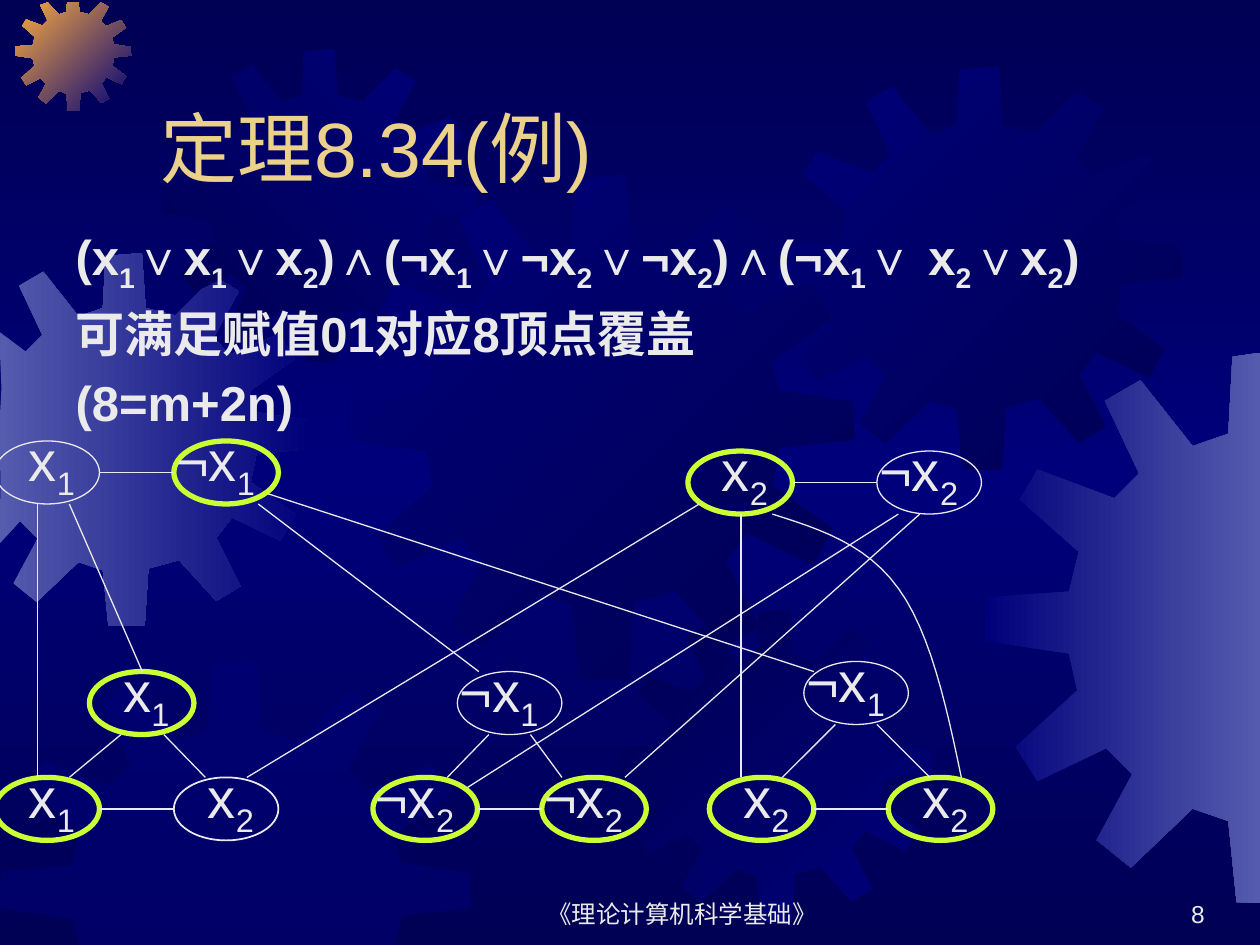
from copy import deepcopy
from dataclasses import dataclass

from lxml.etree import SubElement
from pptx import Presentation
from pptx.dml.color import RGBColor
from pptx.enum.shapes import MSO_CONNECTOR as Conn, MSO_SHAPE as Preset
from pptx.enum.text import MSO_ANCHOR as Anchor, MSO_AUTO_SIZE as Fit, PP_ALIGN as Align
from pptx.oxml.ns import qn
from pptx.util import Inches, Pt

DARK = RGBColor(0x00, 0x00, 0x54)
NAVY = RGBColor(0x00, 0x00, 0x7A)
STEEL = RGBColor(0x55, 0x5B, 0xAD)
AMBER = RGBColor(0xFC, 0xAB, 0x40)
GOLD = RGBColor(0xEB, 0xD1, 0x89)
PALE = RGBColor(0xEA, 0xEA, 0xEA)
LIME = RGBColor(0xCC, 0xFF, 0x33)

# Outline of one gear in a square of GEAR_SIZE units
GEAR_SIZE = 401
GEAR = [
    (255, 67), (223, 59), (219, 0), (180, 3), (177, 59), (151, 68), (113, 20), (87, 35),
    (112, 88), (94, 106), (38, 85), (25, 107), (68, 145), (61, 174), (1, 178), (0, 210),
    (61, 219), (67, 246), (22, 287), (38, 312), (88, 288), (107, 307), (81, 355), (106, 375),
    (151, 332), (177, 341), (183, 400), (222, 401), (226, 339), (259, 330), (299, 374),
    (325, 358), (299, 306), (316, 284), (368, 309), (384, 281), (336, 246), (342, 216),
    (401, 210), (400, 180), (341, 171), (335, 148), (383, 114), (367, 87), (313, 109),
    (296, 91), (323, 41), (297, 25),
]


@dataclass
class Gear:
    x: float
    y: float
    size: float
    start: RGBColor
    end: RGBColor
    angle: int = 0
    alpha: int = 100


@dataclass
class Node:
    x: float
    y: float
    label: str
    cover: bool = False
    width: float = 0.75


OVAL_W, OVAL_H = 0.83, 0.5

GEARS = [
    Gear(-0.49, 2.01, 2.96, STEEL, NAVY),
    Gear(0.12, -0.04, 0.92, AMBER, NAVY, 45),
    Gear(1.3, 0.39, 2.48, DARK, NAVY, 315),
    Gear(2.77, 1.39, 4.01, NAVY, DARK, 45),
    Gear(0, 5.25, 3.74, NAVY, NAVY, alpha=50),
    Gear(4.91, 4.84, 2.48, DARK, NAVY, 45),
    Gear(6.18, 0.53, 3.2, NAVY, DARK, 45),
    Gear(7.82, 2.8, 4.37, NAVY, STEEL),
]

# Each pair is joined by a level edge
PAIRS = [
    (Node(-0.04, 3.5, "x_1"), Node(1.38, 3.5, "¬x_1", True)),
    (Node(5.46, 3.58, "x_2", True), Node(6.96, 3.58, "¬x_2")),
    (Node(-0.04, 6.17, "x_1", True), Node(1.38, 6.17, "x_2", width=1)),
    (Node(2.96, 6.17, "¬x_2", True), Node(4.3, 6.17, "¬x_2", True)),
    (Node(5.63, 6.17, "x_2", True), Node(7.05, 6.17, "x_2", True)),
]
PEAKS = [
    Node(0.71, 5.33, "x_1", True), Node(3.63, 5.33, "¬x_1"), Node(6.38, 5.25, "¬x_1"),
]
EDGES = [
    (0.96, 5.83, 0.55, 6.17), (1.3, 5.83, 1.63, 6.17),
    (3.88, 5.83, 3.55, 6.17), (4.21, 5.83, 4.46, 6.17),
    (6.63, 5.75, 6.21, 6.17), (6.96, 5.75, 7.38, 6.17),
    (0.55, 4, 1.13, 5.33), (0.3, 4, 0.3, 6.17),
    (2.05, 4, 3.8, 5.33), (2.13, 3.92, 6.46, 5.33),
    (5.55, 4, 1.96, 6.17), (5.88, 4.08, 5.88, 6.17),
    (7.13, 4.08, 3.71, 6.25), (7.3, 4.08, 4.96, 6.17),
]
CURVES = [
    ((6.13, 4.08), (6.51, 4.2), (6.88, 4.32), (7.13, 4.67)),
    ((7.13, 4.67), (7.38, 5.01), (7.51, 5.59), (7.63, 6.17)),
]


def write(frame, *lines: str, size=32, color=PALE, bold=False, align=Align.LEFT,
          anchor=Anchor.TOP, before=0.0) -> None:
    """Fill a text frame; the character after each underscore is a subscript."""
    frame.word_wrap = True
    frame.auto_size = Fit.NONE
    frame.vertical_anchor = anchor
    for i, line in enumerate(lines):
        para = frame.paragraphs[0] if i == 0 else frame.add_paragraph()
        para.alignment = align
        para.space_before = Pt(before)
        props = para._p.get_or_add_pPr()
        props.set("marL", "0")
        props.set("indent", "0")
        SubElement(props, qn("a:buNone"))
        head, *rest = line.split("_")
        parts = [(head, False)]
        for piece in rest:
            parts += [(piece[0], True), (piece[1:], False)]
        for text, sub in parts:
            if not text:
                continue
            run = para.add_run()
            run.text = text
            font = run.font
            font.name, font.size, font.bold = "Arial", Pt(size), bold
            font.color.rgb = color
            if sub:
                font._element.set("baseline", "-25000")


def place(shape, x: float, y: float, w: float, h: float) -> None:
    shape.left, shape.top, shape.width, shape.height = map(Inches, (x, y, w, h))


def add_text(shapes, x: float, y: float, w: float, h: float, text: str, **style):
    box = shapes.add_textbox(*map(Inches, (x, y, w, h)))
    write(box.text_frame, text, **style)
    return box


def shade(fill, start: RGBColor, end: RGBColor, angle: int) -> None:
    """Two-colour gradient, with the angle measured clockwise."""
    fill.gradient()
    fill.gradient_angle = (360 - angle) % 360
    for stop, color in zip(fill.gradient_stops, (start, end)):
        stop.color.rgb = color


def trace(shapes, points, close: bool):
    dots = [(Inches(x), Inches(y)) for x, y in points]
    pen = shapes.build_freeform(*dots[0], scale=1.0)
    pen.add_line_segments(dots[1:], close=close)
    shape = pen.convert_to_shape()
    shape.shadow.inherit = False
    return shape


def add_gear(shapes, gear: Gear) -> None:
    """Draw a gear, cut off at the edges of the slide."""
    unit = gear.size / GEAR_SIZE
    points = [(min(max(gear.x + x * unit, 0), 10), min(max(gear.y + y * unit, 0.02), 7.5))
              for x, y in GEAR]
    shape = trace(shapes, points, True)
    shape.line.fill.background()
    if gear.alpha == 100:
        shade(shape.fill, gear.start, gear.end, gear.angle)
    else:
        shape.fill.solid()
        shape.fill.fore_color.rgb = gear.start
        tint = shape._element.spPr.find(f"{qn('a:solidFill')}/{qn('a:srgbClr')}")
        SubElement(tint, qn("a:alpha")).set("val", str(gear.alpha * 1000))


def add_node(shapes, node: Node) -> None:
    oval = shapes.add_shape(Preset.OVAL, *map(Inches, (node.x, node.y, OVAL_W, OVAL_H)))
    oval.shadow.inherit = False
    oval.fill.background()
    oval.line.color.rgb = LIME if node.cover else PALE
    oval.line.width = Pt(3 if node.cover else node.width)
    box = add_text(shapes, node.x - 0.08, node.y - 0.17, 0.92, 0.63, node.label)
    if node.label.startswith("x"):
        box.text_frame.margin_left = Inches(0.35)


def add_edge(shapes, x1: float, y1: float, x2: float, y2: float) -> None:
    edge = shapes.add_connector(Conn.STRAIGHT, *map(Inches, (x1, y1, x2, y2)))
    edge.line.color.rgb = PALE
    edge.line.width = Pt(0.75)
    SubElement(edge._element.spPr, qn("a:effectLst"))


def bezier(a, b, c, d, steps: int = 12):
    for i in range(steps + 1):
        t = i / steps
        u = 1 - t
        yield tuple(u**3 * p + 3 * u * u * t * q + 3 * u * t * t * r + t**3 * s
                    for p, q, r, s in zip(a, b, c, d))


def main() -> None:
    deck = Presentation()
    deck.slide_width, deck.slide_height = Inches(10), Inches(7.5)
    slide = deck.slides.add_slide(deck.slide_layouts[1])
    shapes = slide.shapes

    back = slide.background.fill
    shade(back, DARK, DARK, 90)
    first = back.gradient_stops[0]._gs
    first.addnext(deepcopy(first))
    middle = back.gradient_stops[1]
    middle.position = 0.5
    middle.color.rgb = NAVY

    title, body = slide.placeholders
    for gear in GEARS:
        add_gear(shapes, gear)
    for holder in (title, body):
        shapes._spTree.append(holder._element)

    place(title, 1.17, 0.33, 8.5, 1.25)
    write(title.text_frame, "定理8.34(例)", size=44, color=GOLD, anchor=Anchor.BOTTOM)
    place(body, 0.5, 1.75, 9, 1.47)
    write(body.text_frame,
          "(x_1∨x_1∨x_2)∧(¬x_1∨¬x_2∨¬x_2)∧(¬x_1∨ x_2∨x_2)",
          "可满足赋值01对应8顶点覆盖",
          "(8=m+2n)",
          size=28, bold=True, before=5.6)
    add_text(shapes, 3.83, 6.92, 3.17, 0.5, "《理论计算机科学基础》",
             size=14, align=Align.CENTER, anchor=Anchor.BOTTOM)
    add_text(shapes, 7.58, 6.92, 2.08, 0.5, "8",
             size=14, align=Align.RIGHT, anchor=Anchor.BOTTOM)

    for left, right in PAIRS:
        add_node(shapes, left)
        add_node(shapes, right)
        mid = left.y + OVAL_H / 2
        add_edge(shapes, left.x + OVAL_W, mid, right.x, mid)
    for node in PEAKS:
        add_node(shapes, node)
    for ends in EDGES:
        add_edge(shapes, *ends)
    arc = trace(shapes, [dot for part in CURVES for dot in bezier(*part)], False)
    arc.fill.background()
    arc.line.color.rgb = PALE
    arc.line.width = Pt(0.75)

    deck.save("out.pptx")


if __name__ == "__main__":
    main()
